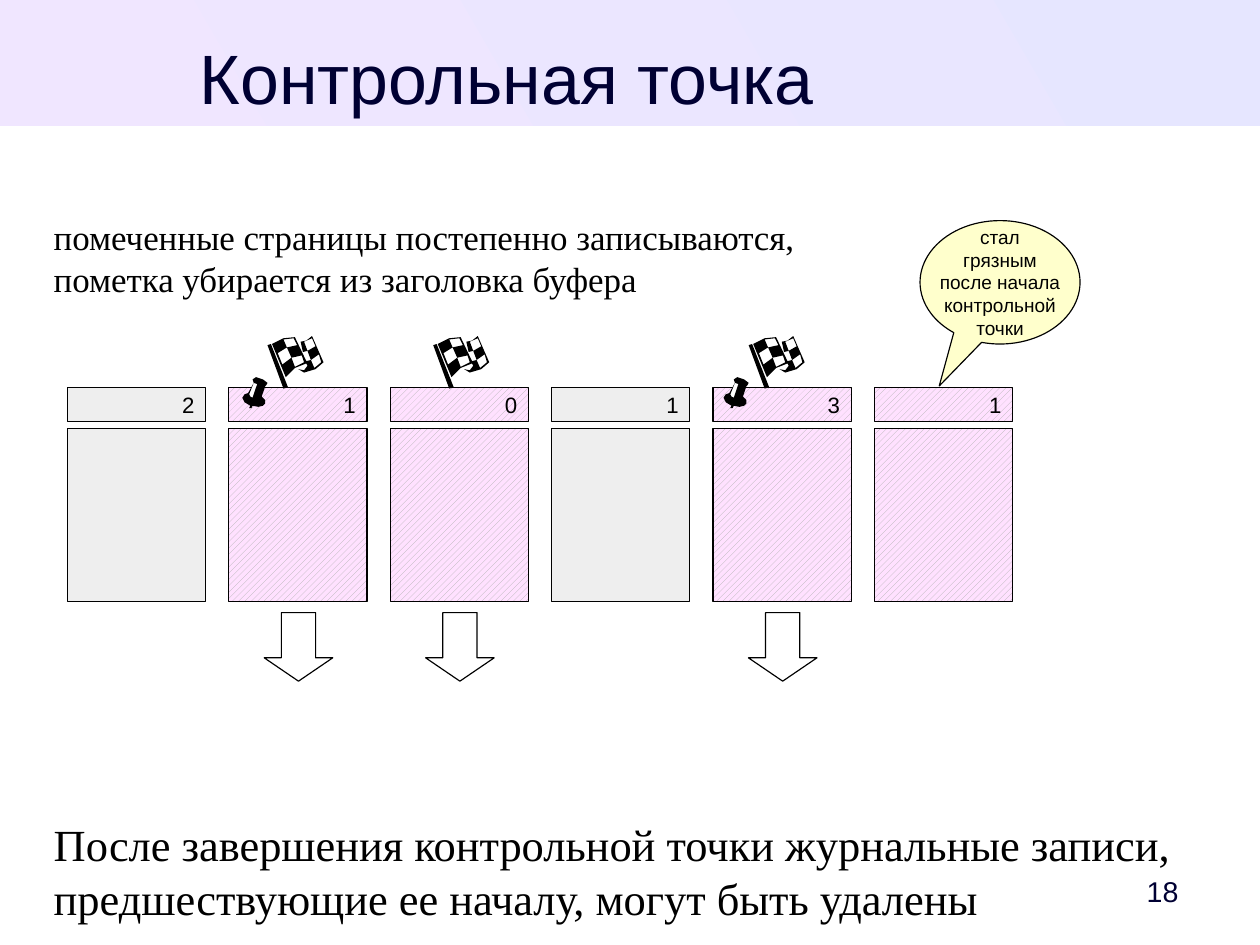
from pptx import Presentation
from pptx.dml.color import RGBColor
from pptx.enum.dml import MSO_PATTERN
from pptx.enum.shapes import MSO_SHAPE
from pptx.enum.text import MSO_ANCHOR, PP_ALIGN
from pptx.util import Inches, Pt

RECT, ARROW, CALLOUT = MSO_SHAPE.RECTANGLE, MSO_SHAPE.DOWN_ARROW, MSO_SHAPE.OVAL_CALLOUT
LEFT, CENTER, RIGHT = PP_ALIGN.LEFT, PP_ALIGN.CENTER, PP_ALIGN.RIGHT
TOP, MIDDLE = MSO_ANCHOR.TOP, MSO_ANCHOR.MIDDLE
HATCH = MSO_PATTERN.WIDE_UPWARD_DIAGONAL
SANS, SERIF = "Arial", "Times New Roman"
BLACK, NAVY, GREY, PINK = "000000", "000033", "EEEEEE", "FFE1FF"

SLIDE_WIDTH, SLIDE_HEIGHT = 28 / 2.54, 21 / 2.54
FIRST_COLUMN, LAST_COLUMN, COLUMN_WIDTH = 0.59, 7.65, 1.21
BUFFERS = [
    {"count": "2"},
    {"count": "1", "dirty": True, "flag": 2.34, "pin": 2.12},
    {"count": "0", "dirty": True, "flag": 3.79},
    {"count": "1"},
    {"count": "3", "dirty": True, "flag": 6.55, "pin": 6.33},
    {"count": "1", "dirty": True},
]
COLUMN_STEP = (LAST_COLUMN - FIRST_COLUMN) / (len(BUFFERS) - 1)
FLAG = [
    [(39, 0), (34, 4), (29, 5), (31, 14), (35, 13), (32, 5), (39, 2), (42, 9), (35, 13),
     (38, 21), (45, 16), (47, 23), (41, 28), (38, 21), (34, 22), (24, 1), (14, 2), (4, 7),
     (16, 36), (24, 28), (34, 24), (35, 26), (32, 30), (27, 29), (32, 32), (42, 29), (49, 23)],
    [(26, 8), (17, 10), (21, 19), (30, 17), (32, 23), (24, 27), (21, 19), (13, 25),
     (9, 15), (17, 10), (14, 3), (23, 2)],
    [(3, 7), (0, 8), (14, 46), (18, 45)],
]
PIN = [
    [(8, 27), (6, 27), (7, 25), (2, 22), (0, 18), (2, 15), (5, 14), (10, 5), (9, 2),
     (12, 0), (18, 2), (22, 5), (21, 7), (20, 8), (17, 17), (20, 20), (20, 23), (18, 25),
     (14, 26), (9, 25)],
    [(6, 15), (7, 17), (9, 18), (13, 6), (10, 5)],
]


def rgb(value):
    """Turn a hex string into a colour."""
    return RGBColor.from_string(value)


def add_text(sp, paragraphs, font, size, color=BLACK, align=LEFT, anchor=MIDDLE, wrap=False):
    """Write paragraphs into a shape, with a line break at each newline."""
    tf = sp.text_frame
    tf.word_wrap = wrap
    tf.vertical_anchor = anchor
    for i, paragraph in enumerate(paragraphs):
        p = tf.add_paragraph() if i else tf.paragraphs[0]
        p.alignment = align
        for j, line in enumerate(paragraph.split("\n")):
            if j:
                p.add_line_break()
            r = p.add_run()
            r.text = line
            r.font.name = font
            r.font.size = Pt(size)
            r.font.color.rgb = rgb(color)


def add_box(s, at, text, font, size, **style):
    """Add a wrapping text box without margins."""
    sp = s.shapes.add_textbox(*map(Inches, at))
    tf = sp.text_frame
    tf.margin_left = tf.margin_right = tf.margin_top = tf.margin_bottom = 0
    add_text(sp, [text], font, size, wrap=True, **style)


def add_shape(s, kind, at, fill, outlined=True, hatched=False):
    """Add a preset shape with a plain or hatched fill."""
    sp = s.shapes.add_shape(kind, *map(Inches, at))
    sp.shadow.inherit = False
    if hatched:
        sp.fill.patterned()
        sp.fill.pattern = HATCH
        sp.fill.fore_color.rgb = rgb("B2B2B2")
        sp.fill.back_color.rgb = rgb(fill)
    else:
        sp.fill.solid()
        sp.fill.fore_color.rgb = rgb(fill)
    if outlined:
        sp.line.color.rgb = rgb(BLACK)
        sp.line.width = Pt(0)
    else:
        sp.line.fill.background()
    return sp


def add_icon(s, left, top, contours):
    """Draw black contours given in hundredths of an inch."""
    builder = s.shapes.build_freeform(*contours[0][0], scale=Inches(0.01))
    for i, (start, *rest) in enumerate(contours):
        if i:
            builder.move_to(*start)
        builder.add_line_segments(rest, close=True)
    sp = builder.convert_to_shape(Inches(left), Inches(top))
    sp.shadow.inherit = False
    sp.fill.solid()
    sp.fill.fore_color.rgb = rgb(BLACK)
    sp.line.fill.background()


def add_banner(s):
    """Add the gradient band behind the title."""
    sp = add_shape(s, RECT, (0, 0, SLIDE_WIDTH, 1.1), "E6E6FF", outlined=False)
    sp.fill.gradient()
    sp.fill.gradient_angle = 210
    for stop, color in zip(sp.fill.gradient_stops, ("E6E6FF", "F0E6FF")):
        stop.color.rgb = rgb(color)


def add_buffer(s, left, count, dirty=False, flag=None, pin=None):
    """Add a buffer header and page with its marks."""
    fill = PINK if dirty else GREY
    add_shape(s, RECT, (left, 3.75, COLUMN_WIDTH, 1.51), fill, hatched=dirty)
    header = add_shape(s, RECT, (left, 3.39, COLUMN_WIDTH, 0.3), fill, hatched=dirty)
    add_text(header, [count], SANS, 14, align=RIGHT)
    if flag:
        add_icon(s, flag, 2.94, FLAG)
        arrow = add_shape(s, ARROW, (left + 0.31, 5.36, 0.6, 0.6), "FFFFFF")
        arrow.adjustments[0], arrow.adjustments[1] = 0.5, 0.34
    if pin:
        shaft = add_shape(s, RECT, (pin + 0.07, 3.35, 0.07, 0.14), "FFFFFF", outlined=False)
        shaft.rotation = 24.8
        add_icon(s, pin, 3.3, PIN)


def add_callout(s):
    """Add the speech bubble over the last buffer."""
    sp = add_shape(s, CALLOUT, (8.05, 1.93, 1.4, 1.08), "FFFFCC")
    sp.adjustments[0], sp.adjustments[1] = -0.38, 0.84
    words = ["стал", "грязным", "после начала", "контрольной", "точки"]
    add_text(sp, words, SANS, 12, align=CENTER)


def main():
    """Build the slide and save it."""
    prs = Presentation()
    prs.slide_width, prs.slide_height = Inches(SLIDE_WIDTH), Inches(SLIDE_HEIGHT)
    s = prs.slides.add_slide(prs.slide_layouts[6])
    add_banner(s)
    add_box(s, (9.69, 7.56, 0.62, 0.47), "18", SANS, 18, color=NAVY, align=RIGHT)
    add_box(s, (0.47, 0.3, 7.93, 0.68), "Контрольная точка", SANS, 44,
            color=NAVY, align=CENTER, anchor=TOP)
    add_box(s, (0.47, 1.89, 10.08, 0.75),
            "помеченные страницы постепенно записываются,\nпометка убирается из заголовка буфера",
            SERIF, 22, anchor=TOP)
    for i, buffer in enumerate(BUFFERS):
        add_buffer(s, FIRST_COLUMN + i * COLUMN_STEP, **buffer)
    add_callout(s)
    add_box(s, (0.47, 7.15, 10.08, 0.93),
            "После завершения контрольной точки журнальные записи, "
            "предшествующие ее началу, могут быть удалены",
            SERIF, 28, anchor=TOP)
    prs.save("out.pptx")


if __name__ == "__main__":
    main()
